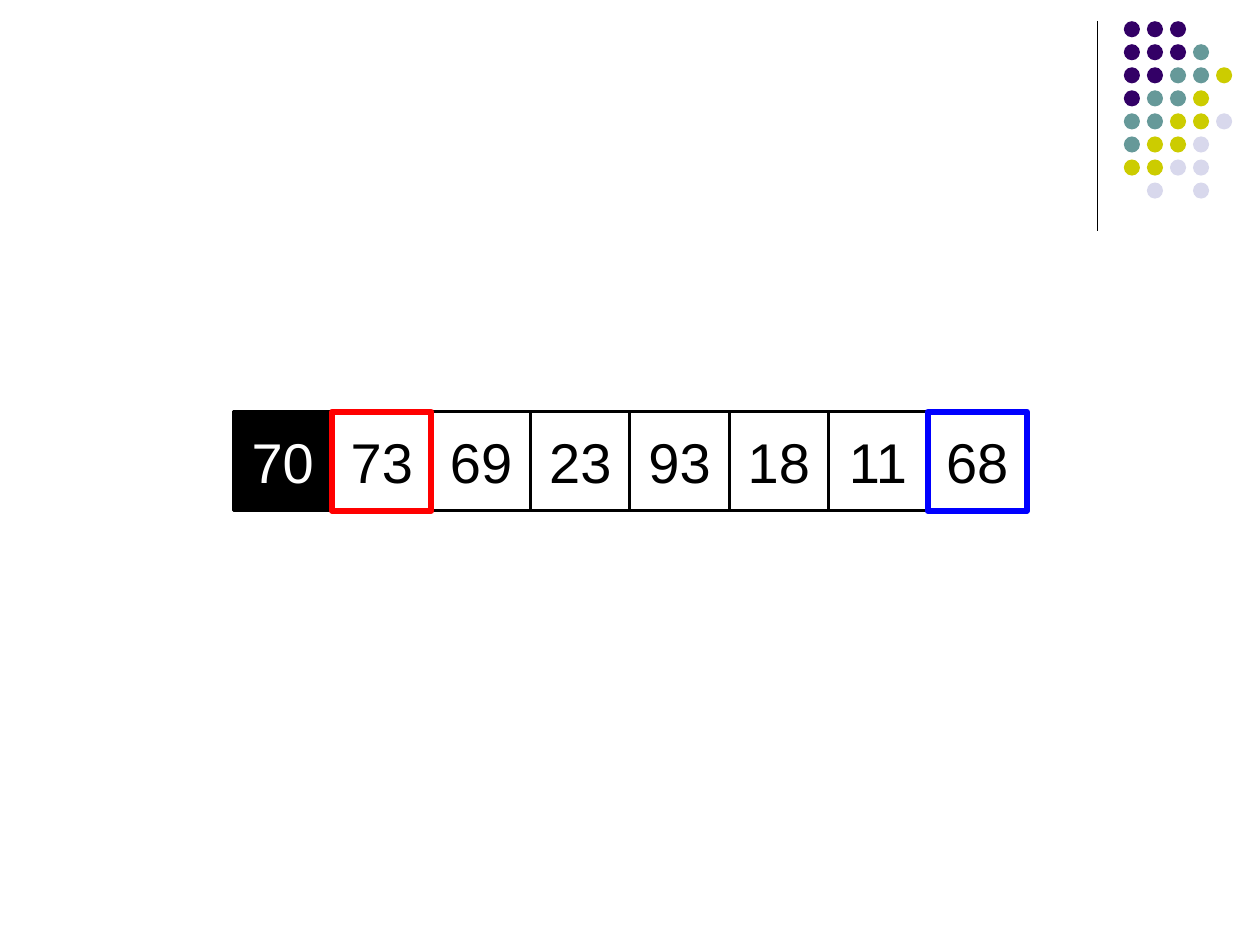
from dataclasses import dataclass

from lxml import etree
from pptx import Presentation
from pptx import util as u
from pptx.dml.color import RGBColor
from pptx.enum import shapes, text
from pptx.oxml import ns

BLACK, WHITE = "000000", "FFFFFF"
DOT_COLOURS = {"P": "330066", "T": "669999", "Y": "CCCC00", "L": "D8D8EC"}
DOT_ROWS = ["PPP", "PPPT", "PPTTY", "PTTY", "TTYYL", "TYYL", "YYLL", " L L"]
DOT_LEFT, DOT_TOP, DOT_STEP, DOT_SIZE = 642.2, 12.1, 13.17, 9.2
ARRAY_LEFT, ARRAY_TOP, CELL_SIZE = 133.2, 235.3, 56.7

FRAME_FORMAT = {
    "word_wrap": True,
    "vertical_anchor": text.MSO_ANCHOR.MIDDLE,
    "margin_left": u.Pt(7.2),
    "margin_right": u.Pt(7.2),
    "margin_top": u.Pt(3.6),
    "margin_bottom": u.Pt(3.6),
}
NUMBER_FORMAT = {"name": "Arial", "size": u.Pt(32)}


@dataclass
class Cell:
    index: int
    value: str = ""
    fill: str | None = None
    outline: str = BLACK
    weight: float = 1.75
    ink: str = BLACK


def paint(colour_format, colour: str) -> None:
    colour_format.rgb = RGBColor.from_string(colour)


def apply_format(target, values: dict) -> None:
    for name, value in values.items():
        setattr(target, name, value)


def draw_dot(dots, row: int, column: int, colour: str) -> None:
    dot = dots.shapes.add_shape(
        shapes.MSO_SHAPE.OVAL,
        u.Pt(DOT_LEFT + column * DOT_STEP),
        u.Pt(DOT_TOP + row * DOT_STEP),
        u.Pt(DOT_SIZE),
        u.Pt(DOT_SIZE),
    )
    dot.shadow.inherit = False
    dot.fill.solid()
    paint(dot.fill.fore_color, colour)
    dot.line.fill.background()


def draw_rule(slide) -> None:
    rule = slide.shapes.add_connector(
        shapes.MSO_CONNECTOR.STRAIGHT, u.Pt(627), u.Pt(12), u.Pt(627), u.Pt(132)
    )
    paint(rule.line.color, BLACK)
    rule.line.width = u.Pt(0.75)
    etree.SubElement(rule._element.spPr, ns.qn("a:effectLst"))


def draw_cell(slide, cell: Cell) -> None:
    square = slide.shapes.add_shape(
        shapes.MSO_SHAPE.RECTANGLE,
        u.Pt(ARRAY_LEFT + cell.index * CELL_SIZE),
        u.Pt(ARRAY_TOP),
        u.Pt(CELL_SIZE),
        u.Pt(CELL_SIZE),
    )
    square.shadow.inherit = False
    if cell.fill:
        square.fill.solid()
        paint(square.fill.fore_color, cell.fill)
    else:
        square.fill.background()
    paint(square.line.color, cell.outline)
    square.line.width = u.Pt(cell.weight)
    if cell.value:
        apply_format(square.text_frame, FRAME_FORMAT)
        paragraph = square.text_frame.paragraphs[0]
        paragraph.alignment = text.PP_ALIGN.CENTER
        number = paragraph.add_run()
        number.text = cell.value
        apply_format(number.font, NUMBER_FORMAT)
        paint(number.font.color, cell.ink)


def main() -> None:
    deck = Presentation()
    deck.slide_width, deck.slide_height = u.Pt(720), u.Pt(540)
    slide = deck.slides.add_slide(deck.slide_layouts[6])
    slide.background.fill.solid()
    paint(slide.background.fill.fore_color, WHITE)

    draw_rule(slide)
    dots = slide.shapes.add_group_shape()
    for row, pattern in enumerate(DOT_ROWS):
        for column, key in enumerate(pattern):
            if key in DOT_COLOURS:
                draw_dot(dots, row, column, DOT_COLOURS[key])

    pivot = Cell(0, "70", fill=BLACK, ink=WHITE)
    others = ["73", "69", "23", "93", "18", "11", "68"]
    unsorted = [Cell(index, value) for index, value in enumerate(others, 1)]
    right_marker = Cell(7, outline="0000FF", weight=3.5)
    left_marker = Cell(1, outline="FF0000", weight=3.5)
    for cell in [pivot, *unsorted, right_marker, left_marker]:
        draw_cell(slide, cell)

    deck.save("out.pptx")


if __name__ == "__main__":
    main()
